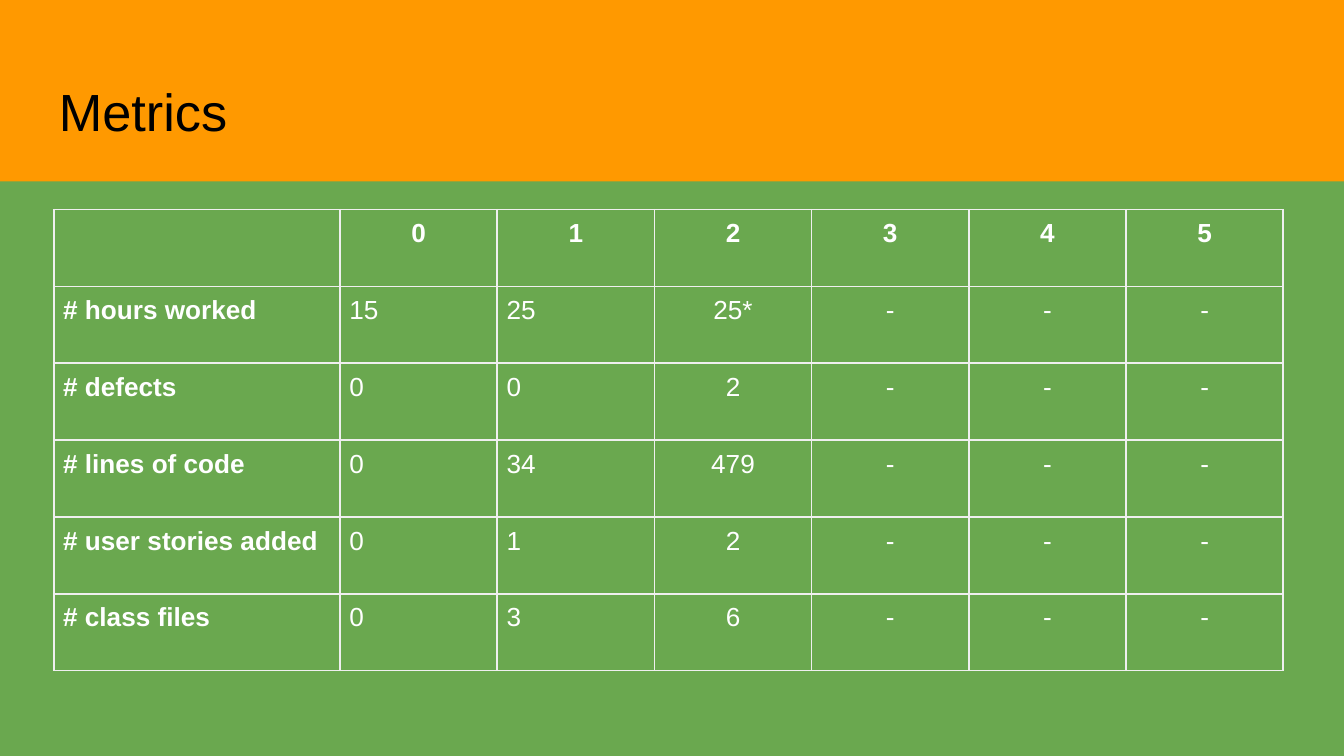
from lxml import etree
from pptx import Presentation
from pptx.dml.color import RGBColor
from pptx.enum.shapes import MSO_SHAPE
from pptx.enum.text import MSO_ANCHOR, PP_ALIGN
from pptx.oxml.ns import qn
from pptx.util import Inches, Pt

RECTANGLE = MSO_SHAPE.RECTANGLE
TOP = MSO_ANCHOR.TOP
LEFT, CENTER = PP_ALIGN.LEFT, PP_ALIGN.CENTER

FONT = "Arial"
GREEN, ORANGE, BLACK, WHITE, GRID = "6AA84F", "FF9900", "000000", "FFFFFF", "EFEFEF"
SLIDE_WIDTH = 10
SLIDE_HEIGHT = SLIDE_WIDTH * 9 / 16
METRICS = [
    ["", "0", "1", "2", "3", "4", "5"],
    ["# hours worked", "15", "25", "25*", "-", "-", "-"],
    ["# defects", "0", "0", "2", "-", "-", "-"],
    ["# lines of code", "0", "34", "479", "-", "-", "-"],
    ["# user stories added", "0", "1", "2", "-", "-", "-"],
    ["# class files", "0", "3", "6", "-", "-", "-"],
]


def paint(color_format, color):
    """Apply a hex colour to a fill's or font's colour."""
    color_format.rgb = RGBColor.from_string(color)


def style_text(paragraph, size, color, bold=False, align=LEFT):
    """Format a paragraph and its runs."""
    paragraph.alignment = align
    for run in paragraph.runs:
        run.font.name = FONT
        run.font.size = Pt(size)
        run.font.bold = bold
        paint(run.font.color, color)


def add_heading(slide, left, top, width, height, text):
    """Draw the heading band with its title."""
    band = slide.shapes.add_shape(
        RECTANGLE, Inches(left), Inches(top), Inches(width), Inches(height))
    band.shadow.inherit = False
    band.fill.solid()
    paint(band.fill.fore_color, ORANGE)
    band.line.fill.background()
    title = slide.shapes.add_textbox(
        Inches(left + 0.34), Inches(top + 0.49), Inches(width - 0.68), Inches(0.63))
    frame = title.text_frame
    frame.word_wrap = True
    frame.vertical_anchor = TOP
    frame.margin_left = frame.margin_right = Inches(0.1)
    frame.margin_top, frame.margin_bottom = Inches(0.1), Inches(0)
    frame.text = text
    style_text(frame.paragraphs[0], 28, BLACK)


def add_borders(cell):
    """Outline a cell on all four sides, leaving it unfilled."""
    properties = cell._tc.get_or_add_tcPr()
    for side in ("a:lnL", "a:lnR", "a:lnT", "a:lnB"):
        line = etree.SubElement(properties, qn(side), w=str(Pt(1)))
        solid = etree.SubElement(line, qn("a:solidFill"))
        etree.SubElement(solid, qn("a:srgbClr"), val=GRID)
    cell.fill.background()


def add_metrics(slide, left, top, width, height, label_width):
    """Draw the table of metrics per iteration."""
    row_count, column_count = len(METRICS), len(METRICS[0])
    metrics = slide.shapes.add_table(
        row_count, column_count,
        Inches(left), Inches(top), Inches(width), Inches(height)).table
    metrics.first_row = metrics.horz_banding = False
    value_width = (width - label_width) / (column_count - 1)
    for index, column in enumerate(metrics.columns):
        column.width = Inches(value_width if index else label_width)
    for row_index, values in enumerate(METRICS):
        metrics.rows[row_index].height = Inches(height / row_count)
        for column_index, value in enumerate(values):
            cell = metrics.cell(row_index, column_index)
            cell.margin_left = cell.margin_right = Inches(0.07)
            cell.margin_top = cell.margin_bottom = Inches(0.07)
            cell.vertical_anchor = TOP
            add_borders(cell)
            cell.text = value
            is_heading = row_index == 0 or column_index == 0
            align = CENTER if row_index == 0 or column_index > 2 else LEFT
            style_text(cell.text_frame.paragraphs[0], 14, WHITE, is_heading, align)


def build():
    """Build and save the metrics slide."""
    presentation = Presentation()
    presentation.slide_width = Inches(SLIDE_WIDTH)
    presentation.slide_height = Inches(SLIDE_HEIGHT)
    slide = presentation.slides.add_slide(presentation.slide_layouts[6])
    slide.background.fill.solid()
    paint(slide.background.fill.fore_color, GREEN)
    add_heading(slide, 0, 0, SLIDE_WIDTH, 1.35, "Metrics")
    add_metrics(slide, 0.4, 1.56, 9.15, 3.43, 2.13)
    presentation.save("out.pptx")


build()
